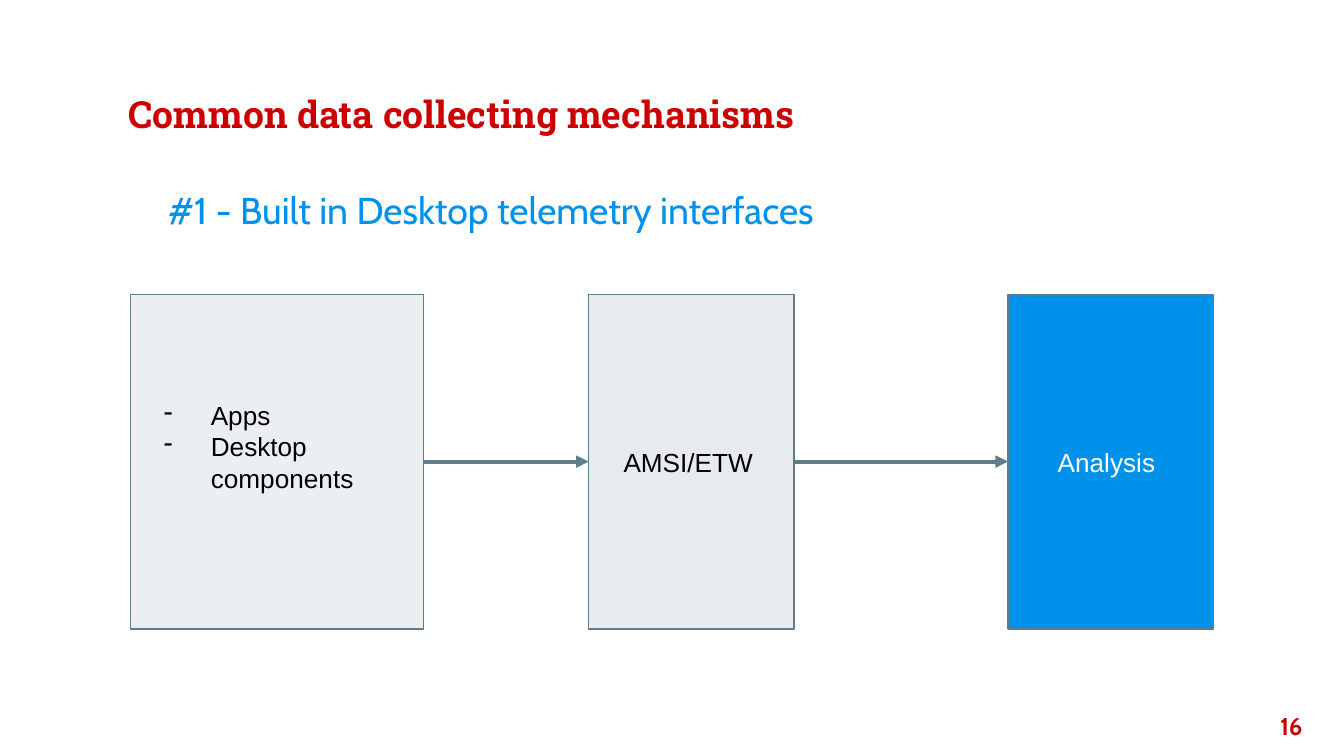
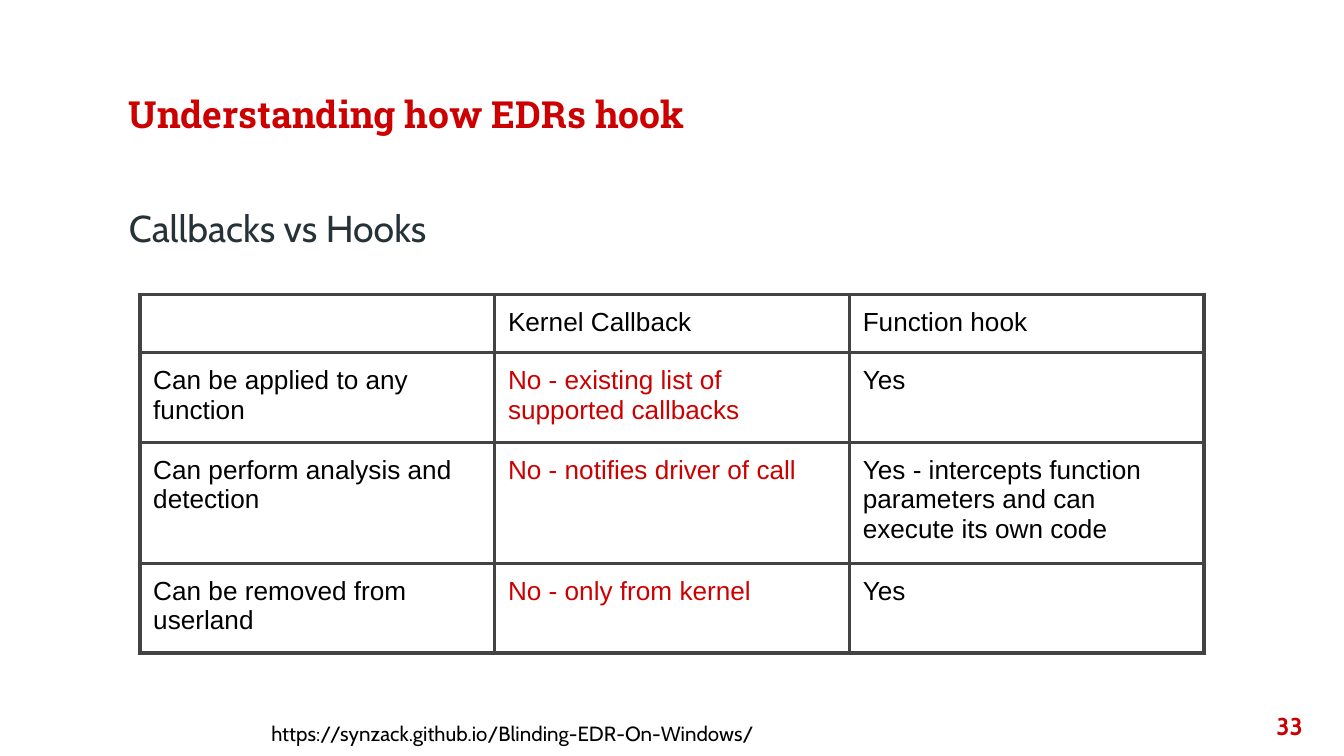
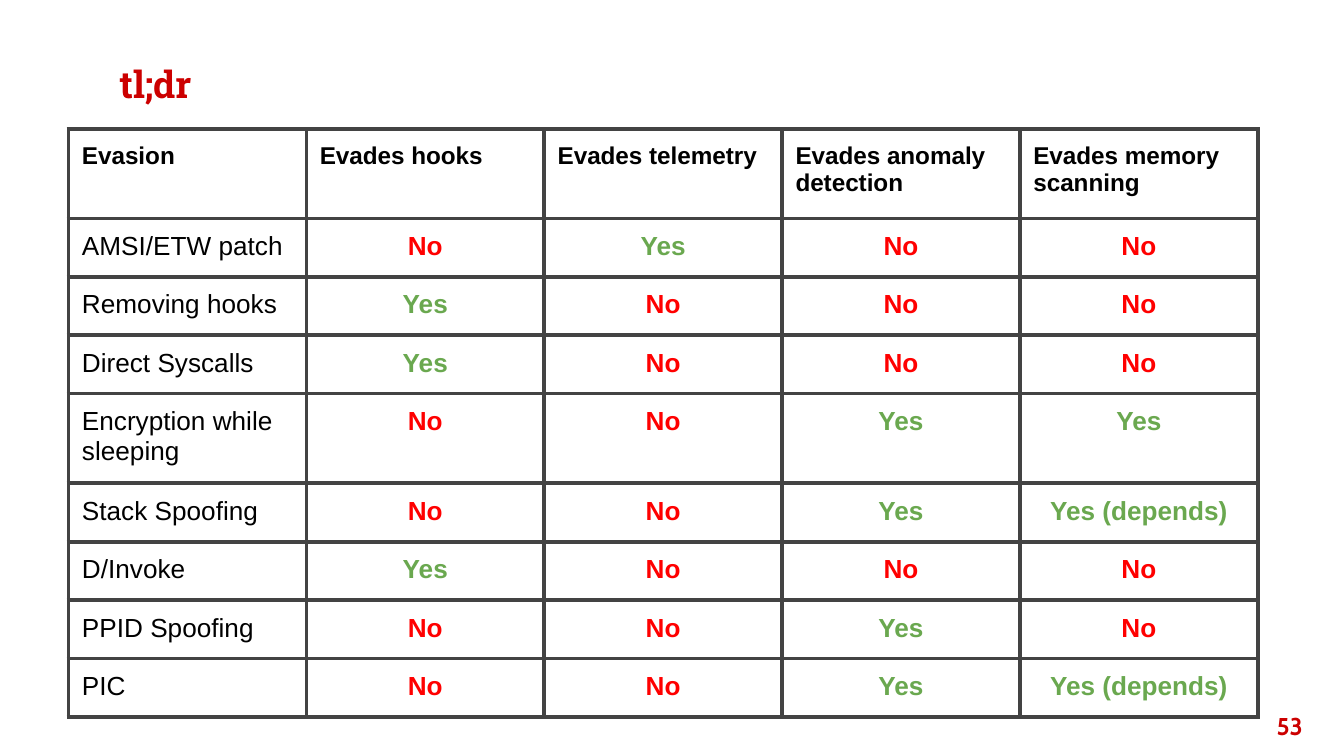
from typing import NamedTuple

from lxml import etree
from pptx import Presentation
from pptx import util as u
from pptx.dml.color import RGBColor
from pptx.enum import shapes, text
from pptx.oxml import ns

PX = u.Inches(1) // 200  # 200 px to the inch
INSET = 20
RED, BLUE, SLATE, INK, BLACK, WHITE = "CC0000", "0091EA", "607D8B", "263238", "000000", "FFFFFF"
GRID, YES_GREEN, NO_RED = "434343", "6AA84F", "FF0000"
BODY_FONT, HEAD_FONT, PLAIN_FONT = "Cabin", "Roboto Slab", "Arial"
LEFT, CENTER, RIGHT = text.PP_ALIGN.LEFT, text.PP_ALIGN.CENTER, text.PP_ALIGN.RIGHT
TOP, MIDDLE, BOTTOM = text.MSO_ANCHOR.TOP, text.MSO_ANCHOR.MIDDLE, text.MSO_ANCHOR.BOTTOM


class Box(NamedTuple):
    x: int
    y: int
    w: int
    h: int

    def emu(self) -> list[int]:
        return [v * PX for v in self]


class Stage(NamedTuple):
    """One step of the data flow; pad_left and pad_bottom shift its text."""
    x: int
    w: int
    lines: list[str]
    fill: str
    color: str = BLACK
    alpha: int = 100
    pad_left: int = INSET
    pad_bottom: int = INSET
    bullet: str = ""


class CellStyle(NamedTuple):
    size: int = 14
    color: str = BLACK
    bold: bool = False
    align: text.PP_ALIGN = LEFT


def rgb(color: str) -> RGBColor:
    return RGBColor.from_string(color)


def add_xml(parent, tag: str, **attrs):
    return etree.SubElement(parent, ns.qn(tag), attrs)


def add_bullet(p, char: str, color: str) -> None:
    pPr = p._p.get_or_add_pPr()
    pPr.set("marL", str(100 * PX))
    pPr.set("indent", str(-70 * PX))
    add_xml(add_xml(pPr, "a:buClr"), "a:srgbClr", val=color)
    add_xml(pPr, "a:buChar", char=char)


def write(tf, lines: list[str], *, size: int, color: str = BLACK, font: str = PLAIN_FONT,
          bold: bool = False, align=LEFT, bullet: str = "") -> None:
    for i, line in enumerate(lines):
        p = tf.add_paragraph() if i else tf.paragraphs[0]
        p.alignment = align
        if bullet:
            add_bullet(p, bullet, color)
        if not line:
            p._p.get_or_add_endParaRPr().set("sz", str(size * 100))
            continue
        r = p.add_run()
        r.text = line
        r.font.size, r.font.name, r.font.bold = u.Pt(size), font, bold
        r.font.color.rgb = rgb(color)


def set_frame(tf, anchor=TOP, left: int = INSET, bottom: int = INSET) -> None:
    tf.word_wrap = True
    tf.vertical_anchor = anchor
    tf.margin_left, tf.margin_bottom = left * PX, bottom * PX
    tf.margin_top = tf.margin_right = INSET * PX


def add_text(s, box: Box, line: str, *, anchor=TOP, **fmt) -> None:
    tf = s.shapes.add_textbox(*box.emu()).text_frame
    set_frame(tf, anchor)
    write(tf, [line], **fmt)


def new_slide(prs, title: str, number: int, x: int = 172, y: int = 68):
    s = prs.slides.add_slide(prs.slide_layouts[6])
    add_text(s, Box(x, y, 1656, 154), title, anchor=BOTTOM,
             size=20, color=RED, font=HEAD_FONT, bold=True)
    add_text(s, Box(1838, 1038, 120, 86), str(number),
             size=13, color=RED, font=BODY_FONT, bold=True, align=RIGHT)
    return s


def add_subtitle(s, x: int, y: int, line: str, color: str) -> None:
    add_text(s, Box(x, y, 1656, 782), line, size=20, color=color, font=BODY_FONT)


def add_stage(s, stage: Stage, y: int, h: int) -> None:
    sp = s.shapes.add_shape(shapes.MSO_SHAPE.RECTANGLE, *Box(stage.x, y, stage.w, h).emu())
    sp.shadow.inherit = False
    sp.fill.solid()
    sp.fill.fore_color.rgb = rgb(stage.fill)
    if stage.alpha < 100:
        fill = sp._element.spPr.find(ns.qn("a:solidFill"))
        add_xml(fill[0], "a:alpha", val=str(stage.alpha * 1000))
    sp.line.color.rgb = rgb(SLATE)
    sp.line.width = u.Pt(0.75)
    set_frame(sp.text_frame, MIDDLE, stage.pad_left, stage.pad_bottom)
    write(sp.text_frame, stage.lines, size=14, color=stage.color, bullet=stage.bullet)


def add_arrow(s, x1: int, x2: int, y: int) -> None:
    c = s.shapes.add_connector(shapes.MSO_CONNECTOR.STRAIGHT, x1 * PX, y * PX, x2 * PX, y * PX)
    c.line.color.rgb = rgb(SLATE)
    c.line.width = u.Pt(2.25)
    add_xml(c.line._get_or_add_ln(), "a:tailEnd", type="triangle")
    add_xml(c._element.spPr, "a:effectLst")


def add_borders(cell) -> None:
    tcPr = cell._tc.get_or_add_tcPr()
    for i, side in enumerate("LRTB"):
        ln = etree.Element(ns.qn(f"a:ln{side}"), w=str(u.Pt(2.25)))
        add_xml(add_xml(ln, "a:solidFill"), "a:srgbClr", val=GRID)
        tcPr.insert(i, ln)


def add_grid(s, x: int, y: int, col_w: int, row_heights: list[int],
             rows: list[list[str]], style_of) -> None:
    """Draw a ruled table; style_of(row, column, value) gives each cell's style."""
    n = len(rows[0])
    box = Box(x, y, col_w * n, sum(row_heights))
    table = s.shapes.add_table(len(rows), n, *box.emu()).table
    table.first_row = table.horz_banding = False
    for col in table.columns:
        col.width = col_w * PX
    for i, (height, values) in enumerate(zip(row_heights, rows)):
        table.rows[i].height = height * PX
        for j, value in enumerate(values):
            cell = table.cell(i, j)
            cell.fill.background()
            add_borders(cell)
            cell.margin_left = cell.margin_right = INSET * PX
            cell.margin_top = cell.margin_bottom = INSET * PX
            write(cell.text_frame, [value], **style_of(i, j, value)._asdict())


def hook_style(row: int, col: int, value: str) -> CellStyle:
    return CellStyle(color=RED if value.startswith("No") else BLACK)


def evasion_style(row: int, col: int, value: str) -> CellStyle:
    if row == 0:
        return CellStyle(size=13, bold=True)
    if col == 0:
        return CellStyle()
    return CellStyle(color=YES_GREEN if value.startswith("Yes") else NO_RED,
                     bold=True, align=CENTER)


def telemetry_slide(prs) -> None:
    s = new_slide(prs, "Common data collecting mechanisms", 16)
    add_subtitle(s, 230, 258, "#1 - Built in Desktop telemetry interfaces", BLUE)
    y, h = 438, 498
    stages = [
        Stage(194, 436, ["Apps", "Desktop components"], "ECEFF1", pad_bottom=65, bullet="-"),
        Stage(876, 306, ["AMSI/ETW"], "CFD8DC", alpha=49, pad_left=52),
        Stage(1500, 306, ["Analysis"], BLUE, color=WHITE, pad_left=74),
    ]
    for stage in stages:
        add_stage(s, stage, y, h)
    for a, b in zip(stages, stages[1:]):
        add_arrow(s, a.x + a.w, b.x, y + h // 2)


def hooks_slide(prs) -> None:
    s = new_slide(prs, "Understanding how EDRs hook", 33)
    add_subtitle(s, 172, 286, "Callbacks vs Hooks", INK)
    add_text(s, Box(384, 1054, 1444, 71), "https://synzack.github.io/Blinding-EDR-On-Windows/",
             size=11, font=BODY_FONT)
    rows = [
        ["", "Kernel Callback", "Function hook"],
        ["Can be applied to any function", "No - existing list of supported callbacks", "Yes"],
        ["Can perform analysis and detection", "No - notifies driver of call",
         "Yes - intercepts function parameters and can execute its own code"],
        ["Can be removed from userland", "No - only from kernel", "Yes"],
    ]
    add_grid(s, 208, 438, 528, [86, 133, 180, 133], rows, hook_style)


def summary_slide(prs) -> None:
    s = new_slide(prs, "tl;dr", 53, x=158, y=24)
    rows = [
        ["Evasion", "Evades hooks", "Evades telemetry", "Evades anomaly detection",
         "Evades memory scanning"],
        ["AMSI/ETW patch", "No", "Yes", "No", "No"],
        ["Removing hooks", "Yes", "No", "No", "No"],
        ["Direct Syscalls", "Yes", "No", "No", "No"],
        ["Encryption while sleeping", "No", "No", "Yes", "Yes"],
        ["Stack Spoofing", "No", "No", "Yes", "Yes (depends)"],
        ["D/Invoke", "Yes", "No", "No", "No"],
        ["PPID Spoofing", "No", "No", "Yes", "No"],
        ["PIC", "No", "No", "Yes", "Yes (depends)"],
    ]
    heights = [133] + [87] * 3 + [127] + [87] * 4
    add_grid(s, 102, 192, 354, heights, rows, evasion_style)


def main() -> None:
    prs = Presentation()
    prs.slide_width, prs.slide_height = 2000 * PX, 1125 * PX
    telemetry_slide(prs)
    hooks_slide(prs)
    summary_slide(prs)
    prs.save("out.pptx")


if __name__ == "__main__":
    main()
